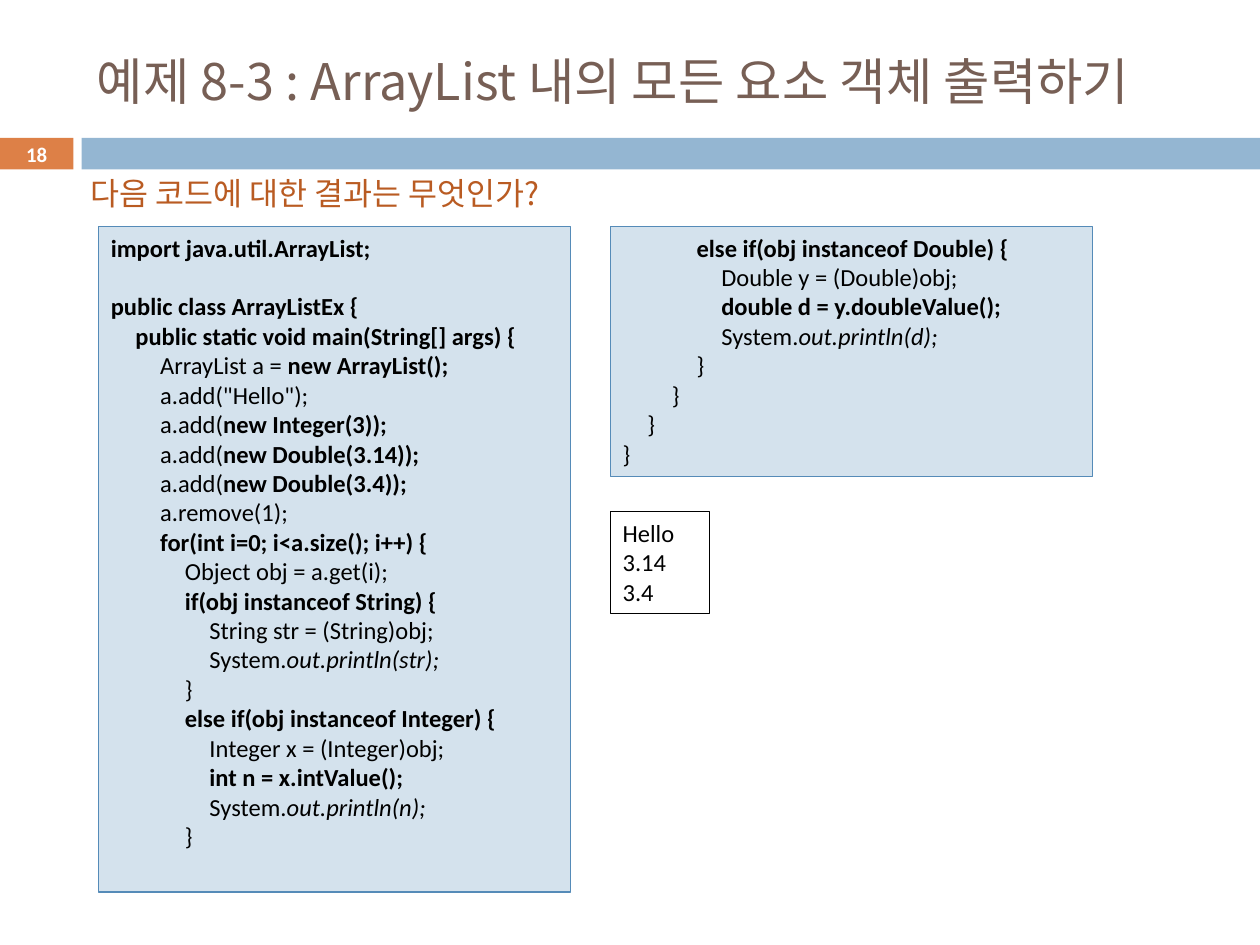
from lxml.etree import SubElement
from pptx import Presentation
from pptx.dml.color import RGBColor
from pptx.enum.shapes import MSO_SHAPE
from pptx.enum.text import MSO_ANCHOR, MSO_AUTO_SIZE, PP_ALIGN
from pptx.oxml.ns import qn
from pptx.util import Pt

BLACK = RGBColor(0x00, 0x00, 0x00)
WHITE = RGBColor(0xFF, 0xFF, 0xFF)
BROWN = RGBColor(0x77, 0x5F, 0x55)
RUST = RGBColor(0xB9, 0x5B, 0x22)
ORANGE = RGBColor(0xDD, 0x80, 0x47)
BLUE = RGBColor(0x94, 0xB6, 0xD2)
PALE = RGBColor(0xD4, 0xE2, 0xED)
EDGE = RGBColor(0x55, 0x8B, 0xB8)

LATIN = "Calibri"
KOREAN = "Noto Sans CJK KR"
TAB = 14.1
GAP = 16.8  # height of one empty code line

# In code lines, "*" starts bold text and "_" starts italic text
LEFT = """*import java.util.ArrayList;

*public class ArrayListEx {
\t*public static void main(String[] args) {
\t\tArrayList a = *new ArrayList();
\t\ta.add("Hello");
\t\ta.add(*new Integer(3));
\t\ta.add(*new Double(3.14));
\t\ta.add(*new Double(3.4));
\t\ta.remove(1);
\t\t*for(int i=0; i<a.size(); i++) {
\t\t\tObject obj = a.get(i);
\t\t\t*if(obj instanceof String) {
\t\t\t\tString str = (String)obj;
\t\t\t\tSystem._out.println(str);
\t\t\t}
\t\t\t*else if(obj instanceof Integer) {
\t\t\t\tInteger x = (Integer)obj;
\t\t\t\t*int n = x.intValue();
\t\t\t\tSystem._out.println(n);
\t\t\t}"""

RIGHT = """\t\t\t*else if(obj instanceof Double) {
\t\t\t\tDouble y = (Double)obj;
\t\t\t\t*double d = y.doubleValue();
\t\t\t\tSystem._out.println(d);
\t\t\t}
\t\t}
\t}
}"""

OUTPUT = """Hello
3.14
3.4"""


def style(run, color, **look):
    """Set colour and font attributes of a run."""
    run.font.color.rgb = color
    for name, value in look.items():
        setattr(run.font, name, value)
    if look["name"] == KOREAN:
        SubElement(run.font._element, qn("a:ea"), typeface=KOREAN)


def frame(shape, **look):
    """Set text frame attributes and return the frame."""
    text = shape.text_frame
    for name, value in look.items():
        setattr(text, name, value)
    return text


def rect(slide, box, fill=None, line=None):
    """Draw a flat rectangle."""
    shape = slide.shapes.add_shape(MSO_SHAPE.RECTANGLE, *map(Pt, box))
    shape.shadow.inherit = False
    if fill is None:
        shape.fill.background()
    else:
        shape.fill.solid()
        shape.fill.fore_color.rgb = fill
    if line is None:
        shape.line.fill.background()
    else:
        shape.line.color.rgb = line
        shape.line.width = Pt(0.75)
    return shape


def stops(para):
    """Give a paragraph evenly spaced tab stops."""
    tabs = SubElement(para._p.get_or_add_pPr(), qn("a:tabLst"))
    for level in range(1, 5):
        SubElement(tabs, qn("a:tab"), pos=str(Pt(TAB * level)), algn="l")


def code(slide, box, source, fill=None, line=BLACK):
    """Draw a box of code or program output."""
    text = frame(rect(slide, box, fill, line), word_wrap=True,
                 vertical_anchor=MSO_ANCHOR.TOP)
    para, gap = text.paragraphs[0], 0
    for count, row in enumerate(source.split("\n")):
        if not row:
            gap = GAP
            continue
        if count:
            para = text.add_paragraph()
        para.alignment = PP_ALIGN.LEFT
        if gap:
            para.space_before, gap = Pt(gap), 0
        if "\t" in row:
            stops(para)
        mark = "*" if "*" in row else "_"
        plain, _, rest = row.partition(mark)
        for part, bold, slant in ((plain, False, False),
                                  (rest, mark == "*", mark == "_")):
            if part:
                run = para.add_run()
                run.text = part
                style(run, BLACK, name=LATIN, size=Pt(14),
                      bold=bold, italic=slant)


def label(shape, words, color, align, **look):
    """Write one line of text into a shape."""
    para = shape.text_frame.paragraphs[0]
    para.alignment = align
    run = para.add_run()
    run.text = words
    style(run, color, **look)


def head(slide):
    """Place and format the title."""
    title = slide.shapes.title
    box = {"left": 48.2, "top": 18, "width": 642.2, "height": 55.4}
    for name, value in box.items():
        setattr(title, name, Pt(value))
    frame(title, word_wrap=True, auto_size=MSO_AUTO_SIZE.NONE,
          vertical_anchor=MSO_ANCHOR.MIDDLE)
    label(title, "예제 8-3 : ArrayList 내의 모든 요소 객체 출력하기", BROWN,
          PP_ALIGN.LEFT, name=KOREAN, size=Pt(28.8))


def main():
    deck = Presentation()
    deck.slide_width, deck.slide_height = Pt(720), Pt(540)
    slide = deck.slides.add_slide(deck.slide_layouts[5])

    # Band with the page number, and title
    page = rect(slide, (0, 78.8, 42, 18), ORANGE)
    rect(slide, (46.6, 78.8, 673.4, 18), BLUE)
    frame(page, margin_top=0, margin_bottom=0,
          vertical_anchor=MSO_ANCHOR.MIDDLE)
    label(page, "18", WHITE, PP_ALIGN.CENTER,
          name=LATIN, size=Pt(11.9), bold=True)
    head(slide)

    # Question
    ask = slide.shapes.add_textbox(*map(Pt, (44.8, 95.8, 301, 29)))
    frame(ask, word_wrap=False)
    label(ask, "다음 코드에 대한 결과는 무엇인가?", RUST, PP_ALIGN.LEFT,
          name=KOREAN, size=Pt(18))

    # Code in two columns, and its output
    code(slide, (56.2, 129.4, 270, 380.4), LEFT, PALE, EDGE)
    code(slide, (348.7, 129.4, 275.6, 143), RIGHT, PALE, EDGE)
    code(slide, (348.7, 292.3, 56.9, 58.2), OUTPUT)

    deck.save("out.pptx")


if __name__ == "__main__":
    main()
